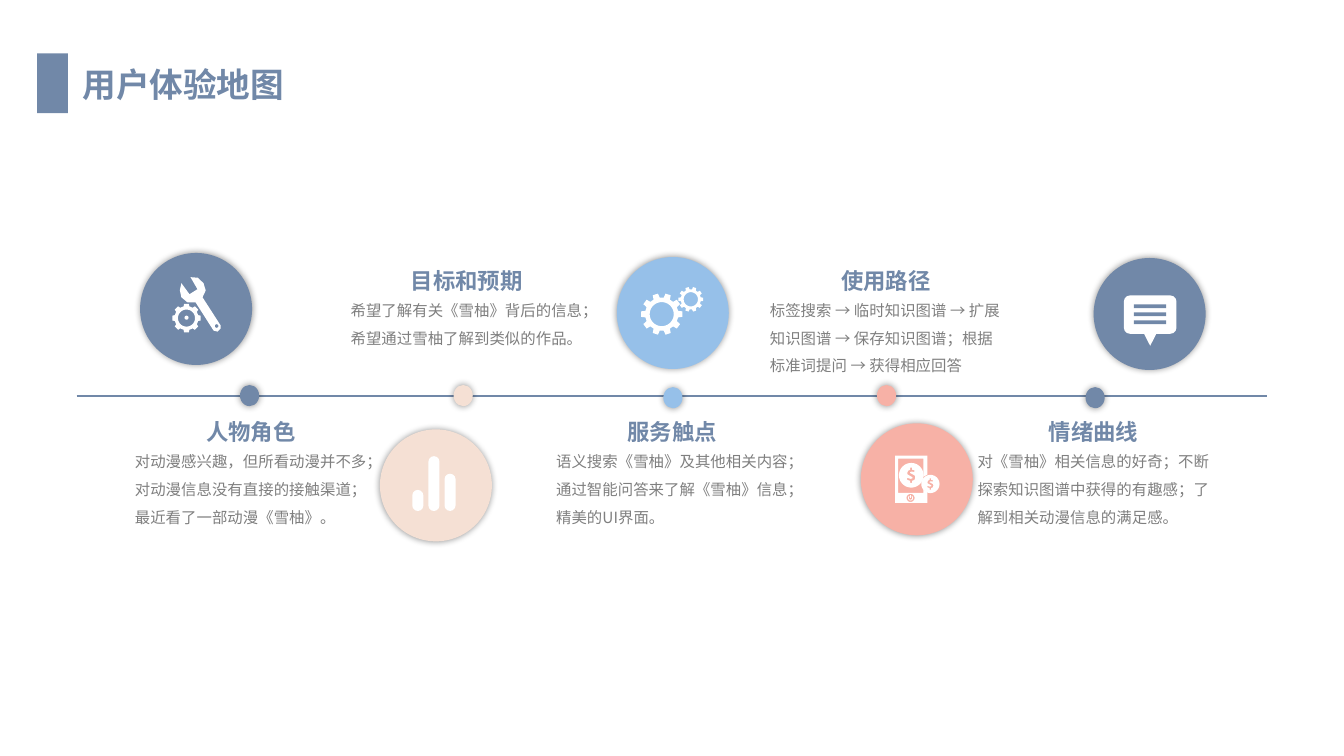
from math import cos, pi, sin

from lxml import etree
from pptx import Presentation
from pptx.dml.color import RGBColor
from pptx.enum.shapes import MSO_CONNECTOR, MSO_SHAPE
from pptx.enum.text import MSO_ANCHOR, MSO_AUTO_SIZE, PP_ALIGN
from pptx.oxml.ns import qn
from pptx.util import Pt

RECTANGLE, OVAL = MSO_SHAPE.RECTANGLE, MSO_SHAPE.OVAL
ROUNDED = MSO_SHAPE.ROUNDED_RECTANGLE
STRAIGHT = MSO_CONNECTOR.STRAIGHT
LEFT, CENTER = PP_ALIGN.LEFT, PP_ALIGN.CENTER
TOP, GROW = MSO_ANCHOR.TOP, MSO_AUTO_SIZE.SHAPE_TO_FIT_TEXT

FONT = "Noto Sans CJK SC"
SLATE, CREAM, SKY, CORAL, WHITE = "7188A8", "F5E0D4", "96C0E9", "F7B1A6", "FFFFFF"
TITLE_FORMAT = {"size": Pt(24), "bold": True, "name": FONT}
HEADING_FORMAT = {"size": Pt(16), "bold": True, "name": FONT}
BODY_FORMAT = {"size": Pt(11), "bold": False, "name": FONT}
BODY_WIDTH = 180

# heading, body, colour, text left, heading top, dot (left, top), circle (left, top)
STEPS = [
    ("人物角色", "对动漫感兴趣，但所看动漫并不多；对动漫信息没有直接的接触渠道；最近看了一部动漫《雪柚》。",
     SLATE, 89.3, 295.2, (171.4, 275), (100.1, 180.7)),
    ("目标和预期", "希望了解有关《雪柚》背后的信息；希望通过雪柚了解到类似的作品。",
     CREAM, 243.4, 187.2, (324, 275), (271.4, 306.7)),
    ("服务触点", "语义搜索《雪柚》及其他相关内容；通过智能问答来了解《雪柚》信息；精美的UI界面。",
     SKY, 390.2, 295.2, (473.8, 276.5), (440.6, 183.6)),
    ("使用路径", "标签搜索 → 临时知识图谱 → 扩展知识图谱 → 保存知识图谱；根据标准词提问 → 获得相应回答",
     CORAL, 542.9, 187.2, (626.4, 275), (614.9, 302.4)),
    ("情绪曲线", "对《雪柚》相关信息的好奇；不断探索知识图谱中获得的有趣感；了解到相关动漫信息的满足感。",
     SLATE, 691.2, 295.2, (775.4, 276.5), (781.2, 184.3)),
]

WRENCH = [(157.7, 232.6), (144.7, 212.4), (147, 207.5), (145.4, 202.3), (141.3, 198.4),
          (136.1, 198), (141.1, 206.6), (135.4, 210.2), (129.6, 202.3), (128.5, 207.4),
          (129.6, 212.4), (133.9, 216), (139.7, 216), (152.6, 236.2), (155.5, 236.9),
          (157.7, 234.7)]
PHONE = [(659.5, 352.1), (641.5, 352.1), (641.5, 327.6), (659.5, 327.6), (659.5, 340.6),
         (662.4, 339.1), (662.4, 325.4), (639.4, 325.4), (639.4, 359.3), (662.4, 359.3),
         (662.4, 351.4), (659.5, 349.9)]
# Dollar sign around its centre, for a coin of radius 12.2
DOLLAR = [(1, 5.5), (1, 7.5), (-1, 7.5), (-1, 5.5), (-4, 4.5), (-4, 2.5), (-1, 3.5),
          (1, 3.2), (1.3, 2), (-1, 0.7), (-3.6, -0.8), (-4, -2.5), (-3, -4.6),
          (-1, -5.5), (-1, -7.5), (1, -7.5), (1, -5.5), (3.2, -5), (3.2, -3.2),
          (0.5, -3.6), (-1, -3.2), (-1.2, -2.3), (1, -1.2), (3.6, 0.4), (4, 2.2),
          (3.2, 4.5)]


def color(value):
    return RGBColor.from_string(value)


def paint(shape, fill):
    shape.shadow.inherit = False
    shape.fill.solid()
    shape.fill.fore_color.rgb = color(fill)
    shape.line.fill.background()
    return shape


def add_block(shapes, kind, left, top, width, height, fill):
    return paint(shapes.add_shape(kind, Pt(left), Pt(top), Pt(width), Pt(height)), fill)


def add_glowing_oval(shapes, left, top, width, height, fill):
    oval = add_block(shapes, OVAL, left, top, width, height, fill)
    effects = oval._element.spPr.find(qn("a:effectLst"))
    shadow = etree.SubElement(effects, qn("a:outerShdw"), blurRad=str(Pt(5)), dist="0",
                              algn="ctr", rotWithShape="0")
    black = etree.SubElement(shadow, qn("a:srgbClr"), val="000000")
    etree.SubElement(black, qn("a:alpha"), val="40000")


def write_text(shape, text, text_format, fill, align, wrap, spacing=None):
    frame = shape.text_frame
    frame.text = text
    frame.word_wrap, frame.auto_size, frame.vertical_anchor = wrap, GROW, TOP
    paragraph = frame.paragraphs[0]
    paragraph.alignment, paragraph.line_spacing = align, spacing
    font = paragraph.runs[0].font
    for name, value in text_format.items():
        setattr(font, name, value)
    font.color.rgb = color(fill)
    etree.SubElement(font._element, qn("a:ea"), typeface=FONT)


def add_text(slide, left, top, width, height, *text_settings):
    box = slide.shapes.add_textbox(Pt(left), Pt(top), Pt(width), Pt(height))
    write_text(box, *text_settings)


# Outlines: each contour is a list of points, later contours cut holes
def arc(x, y, radius, start=0.0, end=2 * pi, steps=40):
    angles = [start + (end - start) * i / steps for i in range(steps + 1)]
    return [(x + radius * cos(a), y + radius * sin(a)) for a in angles]


def gear(x, y, tip, root, teeth):
    half = pi / teeth
    corners = [(root, -0.62), (tip, -0.42), (tip, 0.42), (root, 0.62)]
    return [(x + radius * cos(half * (2 * i + share)), y + radius * sin(half * (2 * i + share)))
            for i in range(teeth) for radius, share in corners]


def add_outline(shapes, *contours):
    scaled = [[(x * 100, y * 100) for x, y in contour] for contour in contours]
    builder = shapes.build_freeform(*scaled[0][0], scale=Pt(1) / 100)
    for index, contour in enumerate(scaled):
        if index:
            builder.move_to(*contour[0])
        builder.add_line_segments(contour[1:], close=True)
    return paint(builder.convert_to_shape(), WHITE)


# Icons
def add_tools_icon(shapes):
    add_outline(shapes, WRENCH, arc(154.8, 232.9, 1.3))
    add_outline(shapes, gear(133.2, 227.2, 10.3, 8.6, 8), arc(133.2, 227.2, 6.1))
    add_block(shapes, OVAL, 131.8, 225.5, 2.9, 2.9, WHITE)


def add_bars_icon(shapes):
    for index, height in enumerate((15.1, 39.2, 26.6)):
        bar = add_block(shapes, ROUNDED, 294.5 + 11.5 * index, 365 - height, 7.9, height, WHITE)
        bar.adjustments[0] = 0.5


def add_gears_icon(shapes):
    for x, y, tip, root, hole in ((472.7, 224.4, 14.9, 11.9, 8.6), (493.5, 213.8, 8.9, 7.2, 5.1)):
        add_outline(shapes, gear(x, y, tip, root, 10), arc(x, y, hole))


def add_payment_icon(shapes):
    add_outline(shapes, PHONE, arc(650.4, 355.7, 2.9))
    for x, y, radius in ((650.9, 339.5, 8.8), (664.6, 345.7, 6.5)):
        scale = radius / 12.2
        sign = [(x + dx * scale, y + dy * scale) for dx, dy in DOLLAR]
        add_outline(shapes, arc(x, y, radius), sign)
    start, end = -0.3 * pi, 1.3 * pi
    add_outline(shapes, arc(650.4, 355.7, 1.8, start, end) + arc(650.4, 355.7, 1.2, end, start))
    add_block(shapes, RECTANGLE, 650.1, 353.7, 0.6, 1.9, WHITE)


def add_message_icon(shapes):
    body = add_block(shapes, ROUNDED, 802.8, 211, 37.6, 27.4, WHITE)
    body.adjustments[0] = 0.16
    add_outline(shapes, [(816.5, 237), (826.7, 237), (821.6, 247)])
    for index in range(3):
        add_block(shapes, RECTANGLE, 810, 217.4 + 5.76 * index, 23, 2.7, SLATE)


def main():
    presentation = Presentation()
    presentation.slide_width, presentation.slide_height = Pt(960), Pt(540)
    slide = presentation.slides.add_slide(presentation.slide_layouts[5])
    shapes = slide.shapes

    # Title with its marker
    title = shapes.title
    title.left, title.top, title.width, title.height = Pt(51.8), Pt(41.8), Pt(160), Pt(36)
    write_text(title, "用户体验地图", TITLE_FORMAT, SLATE, LEFT, False)
    add_block(shapes, RECTANGLE, 26.6, 38.2, 21.9, 42.6, SLATE)

    # Timeline
    axis = shapes.add_connector(STRAIGHT, Pt(54.8), Pt(283), Pt(905), Pt(283))
    axis.line.color.rgb, axis.line.width = color(SLATE), Pt(1.5)
    etree.SubElement(axis._element.spPr, qn("a:effectLst"))

    # Steps: dot, circle with icon, heading and body
    icons = (add_tools_icon, add_bars_icon, add_gears_icon, add_payment_icon, add_message_icon)
    for step, add_icon in zip(STEPS, icons):
        heading, body, fill, left, top, dot, circle = step
        add_glowing_oval(shapes, *dot, 13.7, 15.1, fill)
        add_glowing_oval(shapes, *circle, 80, 80, fill)
        add_icon(shapes.add_group_shape().shapes)
        width = 16 * len(heading) + 14.4
        add_text(slide, left + (BODY_WIDTH - width) / 2, top, width, 26.6,
                 heading, HEADING_FORMAT, SLATE, CENTER, False)
        add_text(slide, left, top + 17.7, BODY_WIDTH, 64.8,
                 body, BODY_FORMAT, "7F7F7F", LEFT, True, 1.5)

    presentation.save("out.pptx")


if __name__ == "__main__":
    main()
